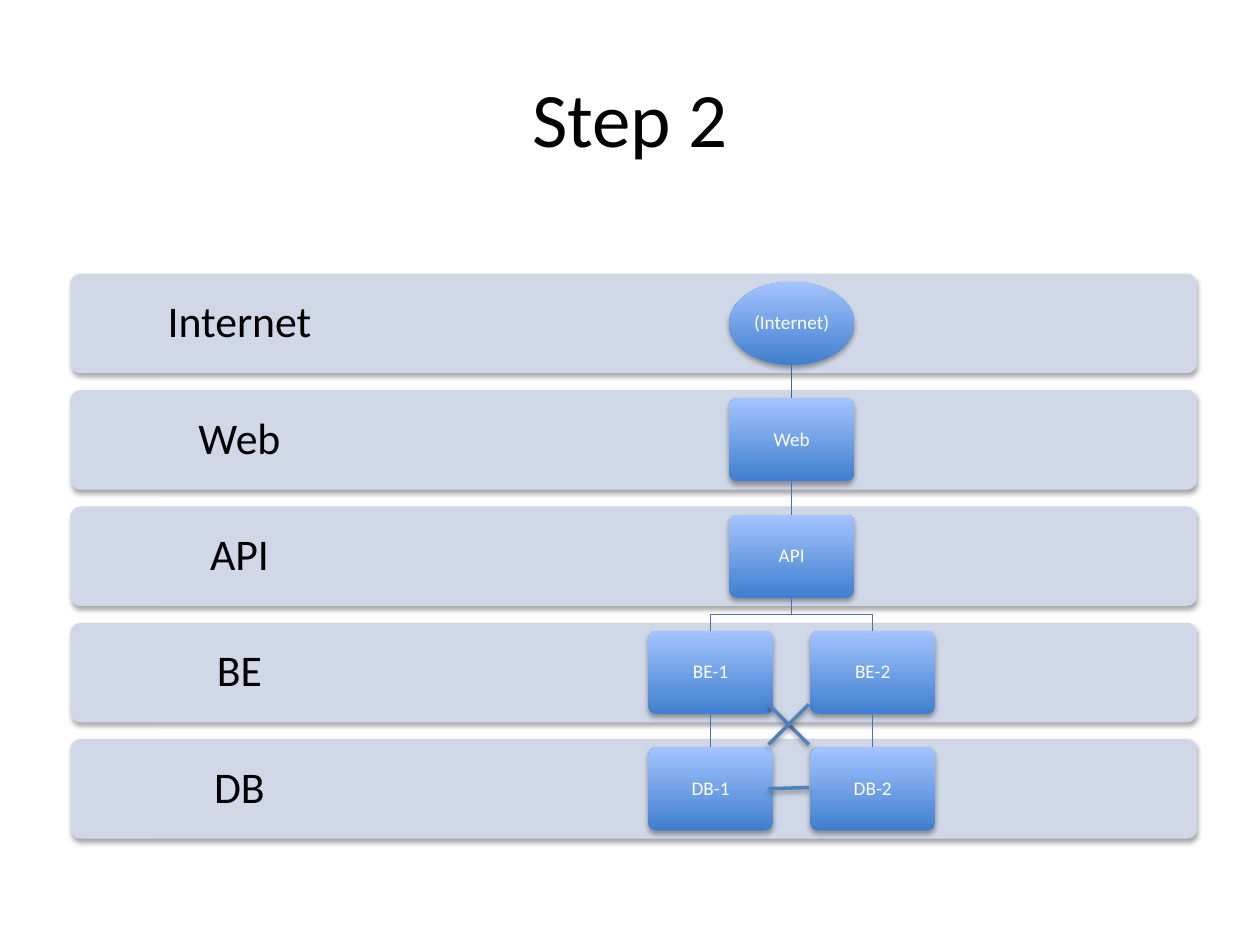
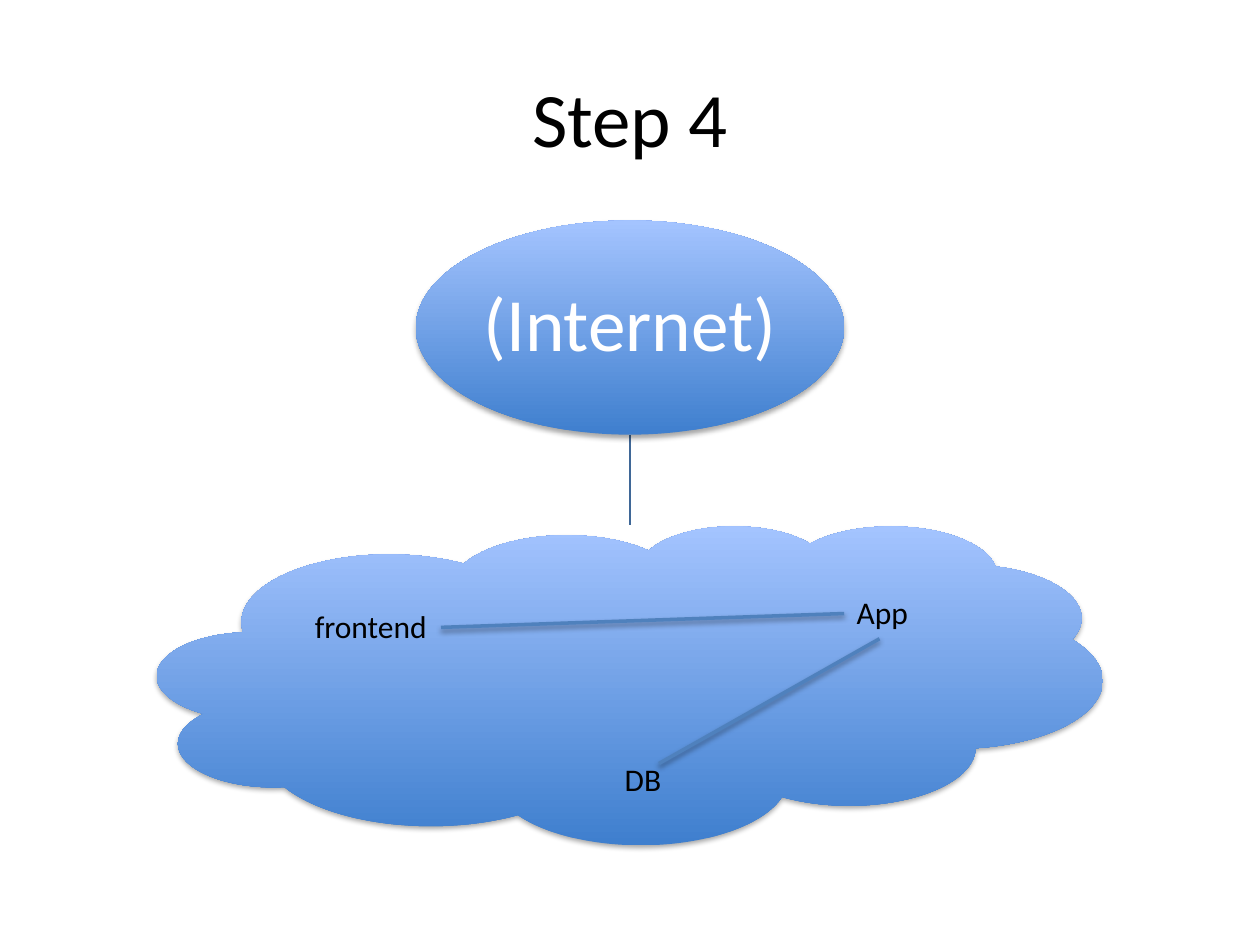
from collections import namedtuple

from lxml.etree import SubElement
from pptx import Presentation
from pptx.dml.color import RGBColor
from pptx.enum.shapes import MSO_CONNECTOR as Connector, MSO_SHAPE as Shape
from pptx.enum.text import MSO_ANCHOR as Anchor, PP_ALIGN as Align
from pptx.oxml.ns import qn
from pptx.util import Pt

Box = namedtuple("Box", "left top width height")

FONT = "Calibri"
COLORS = {
    "black": "000000",
    "white": "FFFFFF",
    "band": "D0D8E8",
    "node_dark": "3F7FCE",
    "node_light": "A4C4FF",
    "first_link": "3F6797",
    "tree_link": "4875AC",
    "cross_link": "4F81BD",
}
TITLE_BOX = Box(36, 21.6, 648, 90)
TIERS_BOX = Box(40.3, 156.4, 643.7, 322.9)
CLOUD_BOX = Box(90, 126, 540, 356.4)


def color(name):
    return RGBColor.from_string(COLORS[name])


def lengths(box):
    return [Pt(value) for value in box]


def set_effects(shape, opacity=None, distance=1.8):
    """Replace the theme shadow with a soft downward one, or with none."""
    effects = SubElement(shape._element.spPr, qn("a:effectLst"))
    if opacity:
        shadow = SubElement(
            effects, qn("a:outerShdw"), blurRad=str(Pt(3.1)), dist=str(Pt(distance)),
            dir="5400000", rotWithShape="0")
        tone = SubElement(shadow, qn("a:srgbClr"), val=COLORS["black"])
        SubElement(tone, qn("a:alpha"), val=str(opacity * 1000))


def write(shape, text, size, tone="black", align=Align.CENTER, anchor=Anchor.MIDDLE,
          inset=None, spacing=None):
    frame = shape.text_frame
    frame.text = text
    frame.word_wrap = True
    frame.vertical_anchor = anchor
    if inset is not None:
        frame.margin_left = frame.margin_right = Pt(inset)
        frame.margin_top = frame.margin_bottom = Pt(inset)
    para = frame.paragraphs[0]
    para.alignment = align
    para.line_spacing = spacing
    font = para.runs[0].font
    font.name, font.size = FONT, Pt(size)
    font.color.rgb = color(tone)


def add_titled_page(deck, title):
    page = deck.slides.add_slide(deck.slide_layouts[5])
    holder = page.shapes.title
    holder.left, holder.top, holder.width, holder.height = lengths(TITLE_BOX)
    write(holder, title, 44)
    return page


def add_panel(page, kind, box):
    panel = page.shapes.add_shape(kind, *lengths(box))
    if kind == Shape.ROUNDED_RECTANGLE:
        panel.adjustments[0] = 0.1
    panel.line.fill.background()
    set_effects(panel, 35)
    return panel


def add_node(page, kind, box, text="", size=11, inset=3.6):
    node = add_panel(page, kind, box)
    node.fill.gradient()
    node.fill.gradient_angle = 90
    for stop, tone in zip(node.fill.gradient_stops, ("node_dark", "node_light")):
        stop.color.rgb = color(tone)
    if text:
        write(node, text, size, "white", inset=inset, spacing=0.9)


def add_link(page, start, end, tone="tree_link"):
    link = page.shapes.add_connector(
        Connector.STRAIGHT, *lengths(start), *lengths(end))
    link.line.color.rgb = color(tone)
    if tone == "cross_link":
        link.line.width = Pt(2)
        set_effects(link, 38, 1.6)
    else:
        link.line.width = Pt(0.75)
        set_effects(link)


def add_branch(page, start, end):
    """Draw a right-angled link that turns halfway down."""
    (x, y), (end_x, end_y) = start, end
    middle = (y + end_y) / 2
    builder = page.shapes.build_freeform(Pt(x), Pt(y))
    corners = [(x, middle), (end_x, middle), end]
    builder.add_line_segments([lengths(corner) for corner in corners], close=False)
    branch = builder.convert_to_shape()
    branch.fill.background()
    branch.line.color.rgb = color("tree_link")
    branch.line.width = Pt(0.75)
    set_effects(branch)


def draw_tiers(page, box):
    tiers = [
        ("Internet", ["(Internet)"]),
        ("Web", ["Web"]),
        ("API", ["API"]),
        ("BE", ["BE-1", "BE-2"]),
        ("DB", ["DB-1", "DB-2"]),
    ]
    band_height, node_width, node_height, node_pitch = 56.9, 71.4, 47.6, 92.6
    pitch = (box.height - band_height) / (len(tiers) - 1)
    trunk = box.left + 412.1

    for row, (label, _) in enumerate(tiers):
        band = Box(box.left, box.top + row * pitch, box.width, band_height)
        add_panel(page, Shape.ROUNDED_RECTANGLE, band).fill.solid()
        page.shapes[-1].fill.fore_color.rgb = color("band")
        caption = page.shapes.add_textbox(*lengths(band._replace(width=0.3 * box.width)))
        write(caption, label, 25, inset=13.7, spacing=0.9)

    parents = []
    for row, (_, names) in enumerate(tiers):
        top = box.top + row * pitch + (band_height - node_height) / 2
        centers = [trunk + (column - (len(names) - 1) / 2) * node_pitch
                   for column in range(len(names))]
        for column, (name, center) in enumerate(zip(names, centers)):
            if parents:
                parent = parents[min(column, len(parents) - 1)]
                start, end = (parent, top - pitch + node_height), (center, top)
                if parent == center:
                    add_link(page, start, end, "first_link" if row == 1 else "tree_link")
                else:
                    add_branch(page, start, end)
            kind = Shape.ROUNDED_RECTANGLE if row else Shape.OVAL
            add_node(page, kind, Box(center - node_width / 2, top, node_width, node_height),
                     name)
        parents = centers

    left, right = box.left + 398.9, box.left + 421.9
    for start_y, end_y in [(246.1, 269.1), (269.1, 246.1), (294.3, 293.6)]:
        add_link(page, (left, box.top + start_y), (right, box.top + end_y), "cross_link")


def draw_cloud(page, box):
    middle = box.left + box.width / 2
    oval_width, oval_height, cloud_height = 244.8, 122.4, 182.2
    cloud_top = box.top + box.height - cloud_height

    add_link(page, (middle, box.top + oval_height), (middle, cloud_top), "first_link")
    add_node(page, Shape.OVAL,
             Box(middle - oval_width / 2, box.top, oval_width, oval_height),
             "(Internet)", 43, 2.2)
    add_node(page, Shape.CLOUD, Box(box.left, cloud_top, box.width, cloud_height))

    for name, x, y, width in [("App", 392.4, 35.3, 116.6), ("DB", 259.9, 130.3, 79.9),
                              ("frontend", 82.8, 43.2, 113.8)]:
        label = page.shapes.add_textbox(
            *lengths(Box(box.left + x, cloud_top + y, width, 29.1)))
        write(label, name, 18, align=Align.LEFT, anchor=Anchor.TOP)

    for x, y, end_x, end_y in [(162, 58.3, 392.4, 50.4), (412.6, 64.8, 286.6, 136.1)]:
        add_link(page, (box.left + x, cloud_top + y),
                 (box.left + end_x, cloud_top + end_y), "cross_link")


def main():
    deck = Presentation()
    deck.slide_width, deck.slide_height = Pt(720), Pt(540)
    draw_tiers(add_titled_page(deck, "Step 2"), TIERS_BOX)
    draw_cloud(add_titled_page(deck, "Step 4"), CLOUD_BOX)
    deck.save("out.pptx")


if __name__ == "__main__":
    main()
